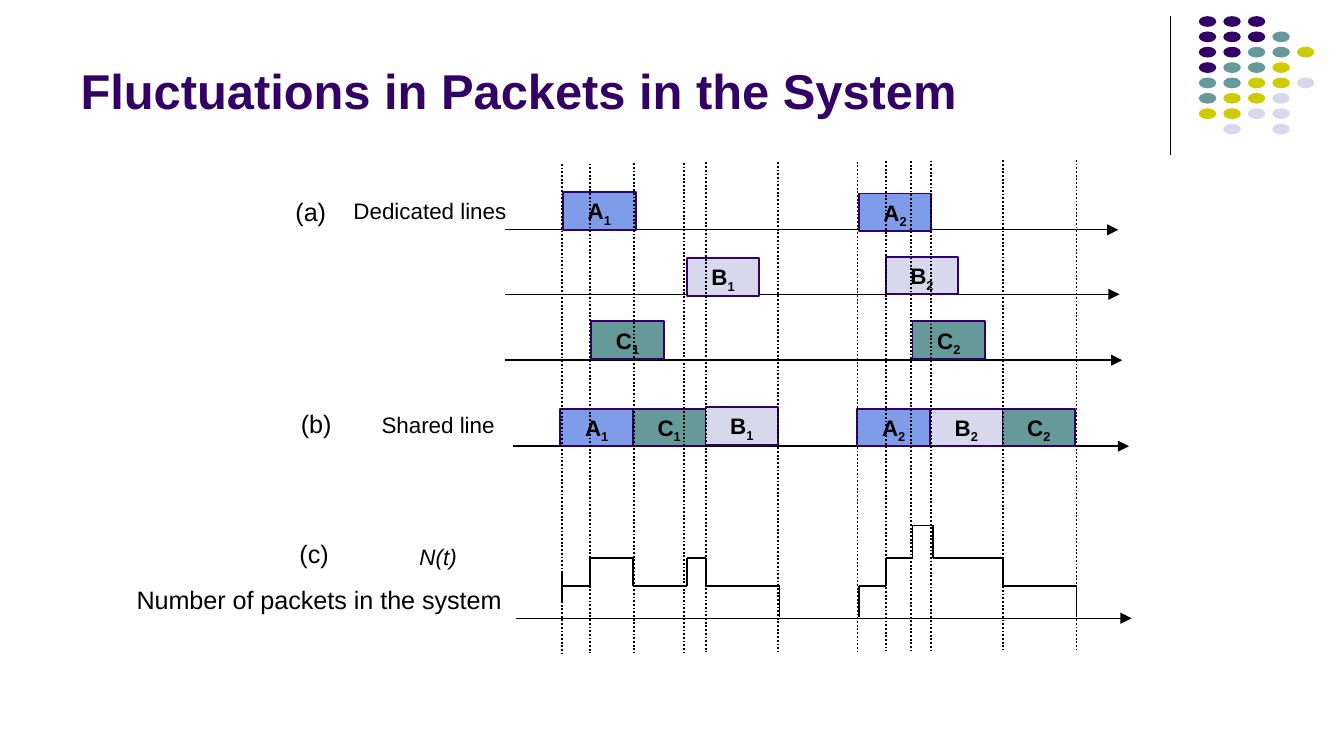
import itertools

import pptx
import pptx.dml.color
import pptx.enum.dml
import pptx.enum.shapes
import pptx.enum.text
import pptx.oxml.ns
import pptx.util
from lxml import etree

Inches = pptx.util.Inches
Pt = pptx.util.Pt
SHAPE = pptx.enum.shapes.MSO_SHAPE
ALIGN = pptx.enum.text.PP_ALIGN
ANCHOR = pptx.enum.text.MSO_ANCHOR
AUTO_SIZE = pptx.enum.text.MSO_AUTO_SIZE
qn = pptx.oxml.ns.qn

BLACK, PURPLE, TEAL = "000000", "330066", "669999"
LILAC, OLIVE, BLUE = "D8D8EC", "CCCC00", "7E9CE8"


def rgb(color):
    return pptx.dml.color.RGBColor.from_string(color)


class Deck:
    font = "Arial"
    packet_fills = {"A": BLUE, "B": LILAC, "C": TEAL}
    packet_w, packet_h = 0.54, 0.28
    wide, narrow = (0.1, 0.05), (0.07, 0.04)

    def __init__(self, prs):
        self.s = prs.slides.add_slide(prs.slide_layouts[5])

    def style(self, p, size, color=BLACK, bold=False, italic=False, align=ALIGN.LEFT):
        p.alignment = align
        f = p.font
        f.name, f.size, f.bold, f.italic = self.font, Pt(size), bold, italic
        f.color.rgb = rgb(color)

    def frame(self, tf, insets, auto_size=AUTO_SIZE.SHAPE_TO_FIT_TEXT):
        tf.margin_left = tf.margin_right = Inches(insets[0])
        tf.margin_top = tf.margin_bottom = Inches(insets[1])
        tf.word_wrap = True
        tf.auto_size = auto_size

    def title(self, text, x, y, w, h):
        sp = self.s.shapes.title
        sp.left, sp.top, sp.width, sp.height = map(Inches, (x, y, w, h))
        tf = sp.text_frame
        self.frame(tf, self.wide, AUTO_SIZE.NONE)
        tf.vertical_anchor = ANCHOR.BOTTOM
        tf.text = text
        self.style(tf.paragraphs[0], 26.2, PURPLE, bold=True)

    def text(self, text, x, y, w, h, size=13.5, italic=False, align=ALIGN.LEFT,
             insets=wide):
        sp = self.s.shapes.add_textbox(*map(Inches, (x, y, w, h)))
        tf = sp.text_frame
        self.frame(tf, insets)
        tf.text = text
        self.style(tf.paragraphs[0], size, italic=italic, align=align)

    def line(self, x1, y1, x2, y2, width=1, dotted=False, arrow=False):
        c = self.s.shapes.add_connector(
            pptx.enum.shapes.MSO_CONNECTOR.STRAIGHT, *map(Inches, (x1, y1, x2, y2)))
        c.line.color.rgb = rgb(BLACK)
        c.line.width = Pt(width)
        if dotted:
            c.line.dash_style = pptx.enum.dml.MSO_LINE.ROUND_DOT
        if arrow:
            etree.SubElement(c.line._get_or_add_ln(), qn("a:tailEnd"), type="triangle")
        etree.SubElement(c._element.spPr, qn("a:effectLst"))

    def shape(self, kind, x, y, w, h, fill):
        sp = self.s.shapes.add_shape(kind, *map(Inches, (x, y, w, h)))
        sp.shadow.inherit = False
        sp.fill.solid()
        sp.fill.fore_color.rgb = rgb(fill)
        sp.line.fill.background()
        return sp

    def packet(self, name, x, y):
        """Box whose label is a letter with a subscript number."""
        letter, number = name
        sp = self.shape(SHAPE.RECTANGLE, x, y, self.packet_w, self.packet_h,
                        self.packet_fills[letter])
        sp.line.color.rgb = rgb(PURPLE)
        sp.line.width = Pt(1)
        tf = sp.text_frame
        self.frame(tf, self.narrow)
        tf.vertical_anchor = ANCHOR.TOP
        p = tf.paragraphs[0]
        self.style(p, 12, bold=True, align=ALIGN.CENTER)
        p.add_run().text = letter
        r = p.add_run()
        r.text = number
        r.font._element.set("baseline", "-25000")

    def steps(self, edges, levels):
        """Staircase: each level runs between two neighbouring edges."""
        for (x1, x2), y in zip(itertools.pairwise(edges), levels):
            self.line(x1, y, x2, y)
        for x, (y1, y2) in zip(edges[1:], itertools.pairwise(levels)):
            self.line(x, y1, x, y2)

    def dots(self, rows, x, y, dx, dy):
        colors = {"P": PURPLE, "T": TEAL, "O": OLIVE, "L": LILAC}
        for i, row in enumerate(rows):
            for j, key in enumerate(row):
                if key in colors:
                    self.shape(SHAPE.OVAL, x + j * dx, y + i * dy, 0.13, 0.08, colors[key])


def main():
    prs = pptx.Presentation()
    prs.slide_width = Inches(10)
    prs.slide_height = prs.slide_width * 9 // 16
    deck = Deck(prs)

    deck.line(8.71, 0.12, 8.71, 1.15, width=0.75)
    deck.dots(["PPP", "PPPT", "PPTTO", "PTTO", "TTOOL", "TOOL", "OOLL", ".L.L"],
              8.92, 0.12, 0.73 / 4, 0.8 / 7)
    deck.title("Fluctuations in Packets in the System", 0.5, 0.1, 8.25, 0.84)

    time_axes = [(3.76, 8.32, 1.71), (3.76, 8.33, 2.19), (3.76, 8.35, 2.68),
                 (3.82, 8.4, 3.32), (3.84, 8.42, 4.6)]
    for x1, x2, y in time_axes:
        deck.line(x1, y, x2, y, width=0.75, arrow=True)

    packets = [
        ("A1", 4.19, 1.43), ("A2", 6.39, 1.44),
        ("B1", 5.11, 1.92), ("B2", 6.59, 1.91),
        ("C1", 4.4, 2.39), ("C2", 6.79, 2.39),
        ("A1", 4.17, 3.04), ("C1", 4.71, 3.04), ("B1", 5.25, 3.03),
        ("A2", 6.38, 3.04), ("B2", 6.92, 3.04), ("C2", 7.46, 3.04),
    ]
    for name, x, y in packets:
        deck.packet(name, x, y)

    deck.text("(a)", 2.1, 1.41, 0.69, 0.33)
    deck.text("(b)", 2.14, 2.99, 0.52, 0.33)
    deck.text("(c)", 2.13, 3.96, 0.52, 0.33)
    for label, x, y, italic in [("Dedicated lines", 2.51, 1.43, False),
                                ("Shared line", 2.57, 3.02, False),
                                ("N(t)", 2.57, 4, True)]:
        deck.text(label, x, y, 1.38, 0.28, size=12, italic=italic,
                  align=ALIGN.CENTER, insets=deck.narrow)
    deck.text("Number of packets in the system", 0.89, 4.3, 2.97, 0.33, align=ALIGN.CENTER)

    base, one, two, three = 4.59, 4.36, 4.15, 3.91
    deck.line(4.18, 4.25, 4.18, 4.48)
    deck.steps([4.18, 4.39, 4.71, 5.11, 5.25, 5.8], [one, two, one, two, one])
    deck.steps([6.39, 6.59, 6.79, 6.94, 7.46, 8.01], [one, two, three, two, one])
    for x in (5.8, 6.39, 8.01):
        deck.line(x, one, x, base)

    event_times = [4.18, 4.39, 4.72, 5.09, 5.25, 5.79, 6.38, 6.59, 6.78, 6.93, 7.46, 8.01]
    for i, x in enumerate(event_times):
        top = 1.22 - 0.03 * i / (len(event_times) - 1)
        deck.line(x, top, x, top + 3.64, dotted=True)

    prs.save("out.pptx")


if __name__ == "__main__":
    main()
